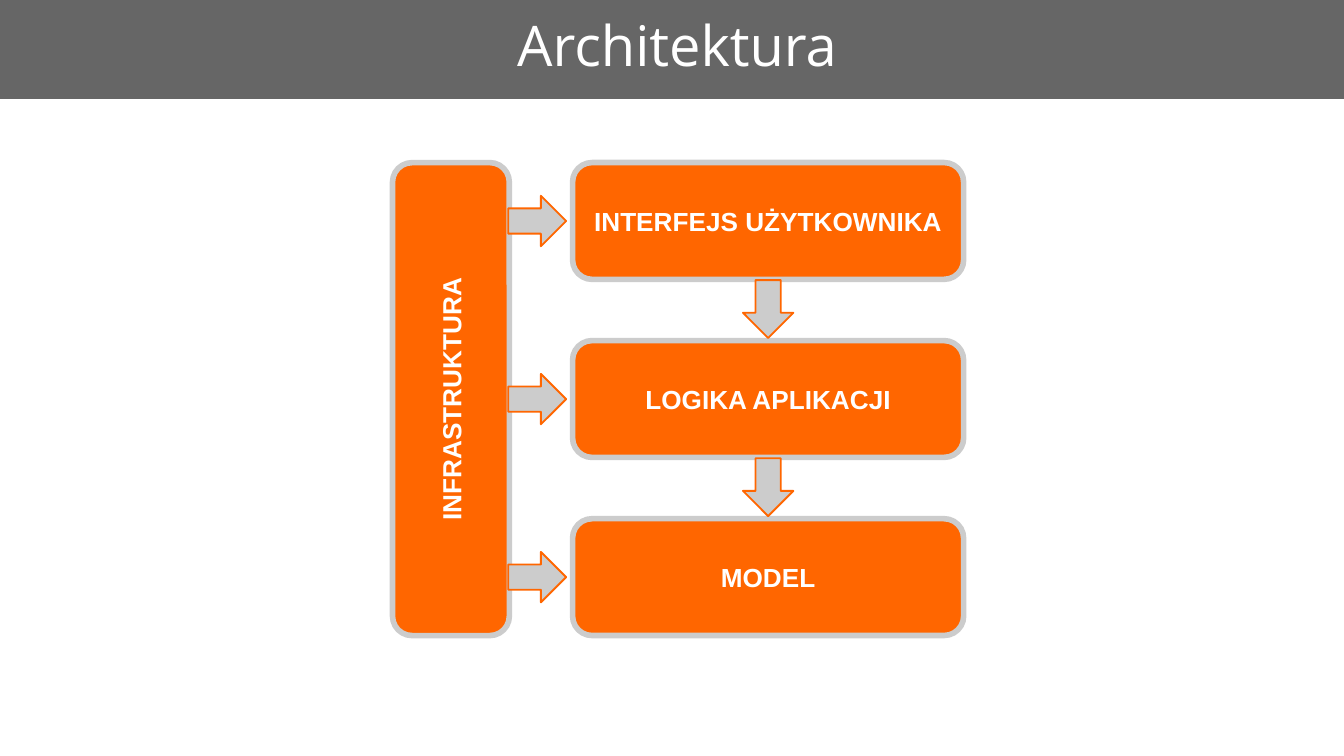
from dataclasses import dataclass

from pptx import Presentation
from pptx.dml.color import RGBColor
from pptx.enum.shapes import MSO_SHAPE
from pptx.enum.text import MSO_ANCHOR, MSO_AUTO_SIZE, PP_ALIGN
from pptx.util import Pt


@dataclass(frozen=True)
class Theme:
    orange: RGBColor = RGBColor(0xFF, 0x66, 0x00)
    light_gray: RGBColor = RGBColor(0xCC, 0xCC, 0xCC)
    dark_gray: RGBColor = RGBColor(0x66, 0x66, 0x66)
    white: RGBColor = RGBColor(0xFF, 0xFF, 0xFF)
    title_size: int = 30
    label_size: int = 14
    title_font: str = "Open Sans"
    label_font: str = "Arial"


theme = Theme()


def write(shape, text, *, size, font, bold=False, anchor=MSO_ANCHOR.MIDDLE):
    frame = shape.text_frame
    frame.text = text
    frame.word_wrap = True
    frame.auto_size = MSO_AUTO_SIZE.NONE
    frame.vertical_anchor = anchor
    frame.margin_left = frame.margin_right = Pt(7.2)
    frame.margin_top = frame.margin_bottom = Pt(7.2)
    paragraph = frame.paragraphs[0]
    paragraph.alignment = PP_ALIGN.CENTER
    style = paragraph.runs[0].font
    style.size, style.name, style.bold = Pt(size), font, bold
    style.color.rgb = theme.white


def add_centered(kind, center_x, center_y, width, height, *, fill, line=None, weight=1, rotation=0):
    shape = slide.shapes.add_shape(
        kind, Pt(center_x - width / 2), Pt(center_y - height / 2), Pt(width), Pt(height))
    shape.rotation = rotation
    shape.shadow.inherit = False
    shape.fill.solid()
    shape.fill.fore_color.rgb = fill
    if line is None:
        shape.line.fill.background()
    else:
        shape.line.color.rgb = line
        shape.line.width = Pt(weight)
    return shape


presentation = Presentation()
presentation.slide_width, presentation.slide_height = Pt(720), Pt(405)
slide = presentation.slides.add_slide(presentation.slide_layouts[5])

# Header band, placed behind the title
band = add_centered(MSO_SHAPE.RECTANGLE, 360, 26.5, 720, 53, fill=theme.dark_gray)
title = slide.shapes.title
band.element.addnext(title.element)
title.left, title.top, title.width, title.height = Pt(154), Pt(3), Pt(417.6), Pt(46)
write(title, "Architektura", size=theme.title_size, font=theme.title_font,
      anchor=MSO_ANCHOR.BOTTOM)

# Grid shared by the layers and the arrows
layers = ["INTERFEJS UŻYTKOWNIKA", "LOGIKA APLIKACJI", "MODEL"]
first_y, pitch = 118.4, 95.4
layer_x, infrastructure_x, gap_x = 411.5, 241.6, 287.8
layer_width, block_height = 209.5, 62.6
infrastructure_length = 2 * pitch + block_height
row_centers = [first_y + row * pitch for row in range(len(layers))]

# Layers, then the infrastructure block turned upright
blocks = [(name, layer_x, y, layer_width, 0) for name, y in zip(layers, row_centers)]
blocks.append(("INFRASTRUKTURA", infrastructure_x, row_centers[1], infrastructure_length, 270))
for name, x, y, width, rotation in blocks:
    block = add_centered(MSO_SHAPE.ROUNDED_RECTANGLE, x, y, width, block_height,
                         fill=theme.orange, line=theme.light_gray, weight=3, rotation=rotation)
    write(block, name, size=theme.label_size, font=theme.label_font, bold=True)

# Arrows between layers, then from the infrastructure to each layer
arrows = [(layer_x, y + pitch / 2 - 0.5, 0) for y in row_centers[:-1]]
arrows += [(gap_x, y, 270) for y in row_centers]
for x, y, rotation in arrows:
    add_centered(MSO_SHAPE.DOWN_ARROW, x, y, 27, 31, fill=theme.light_gray,
                 line=theme.orange, rotation=rotation)

presentation.save("out.pptx")
